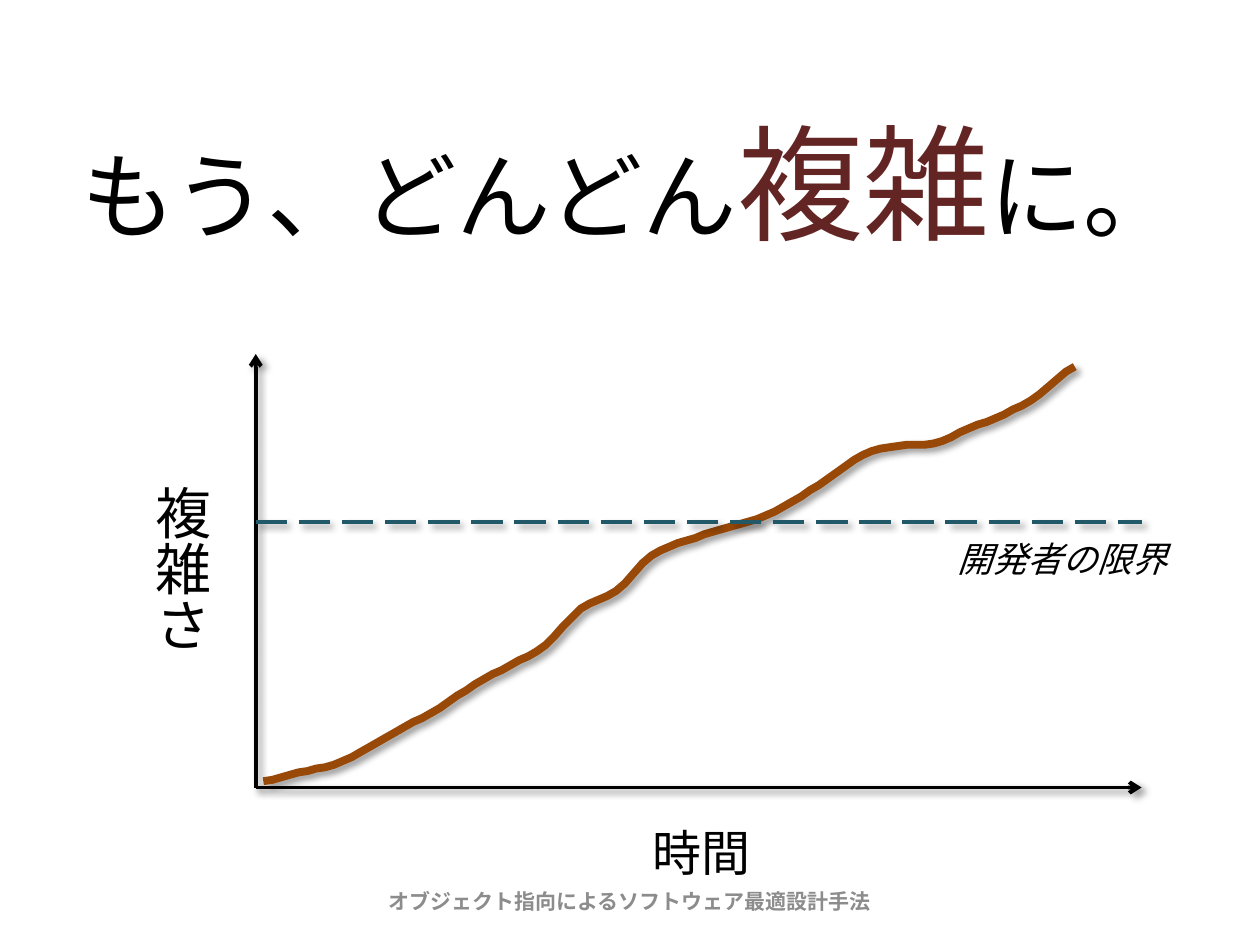
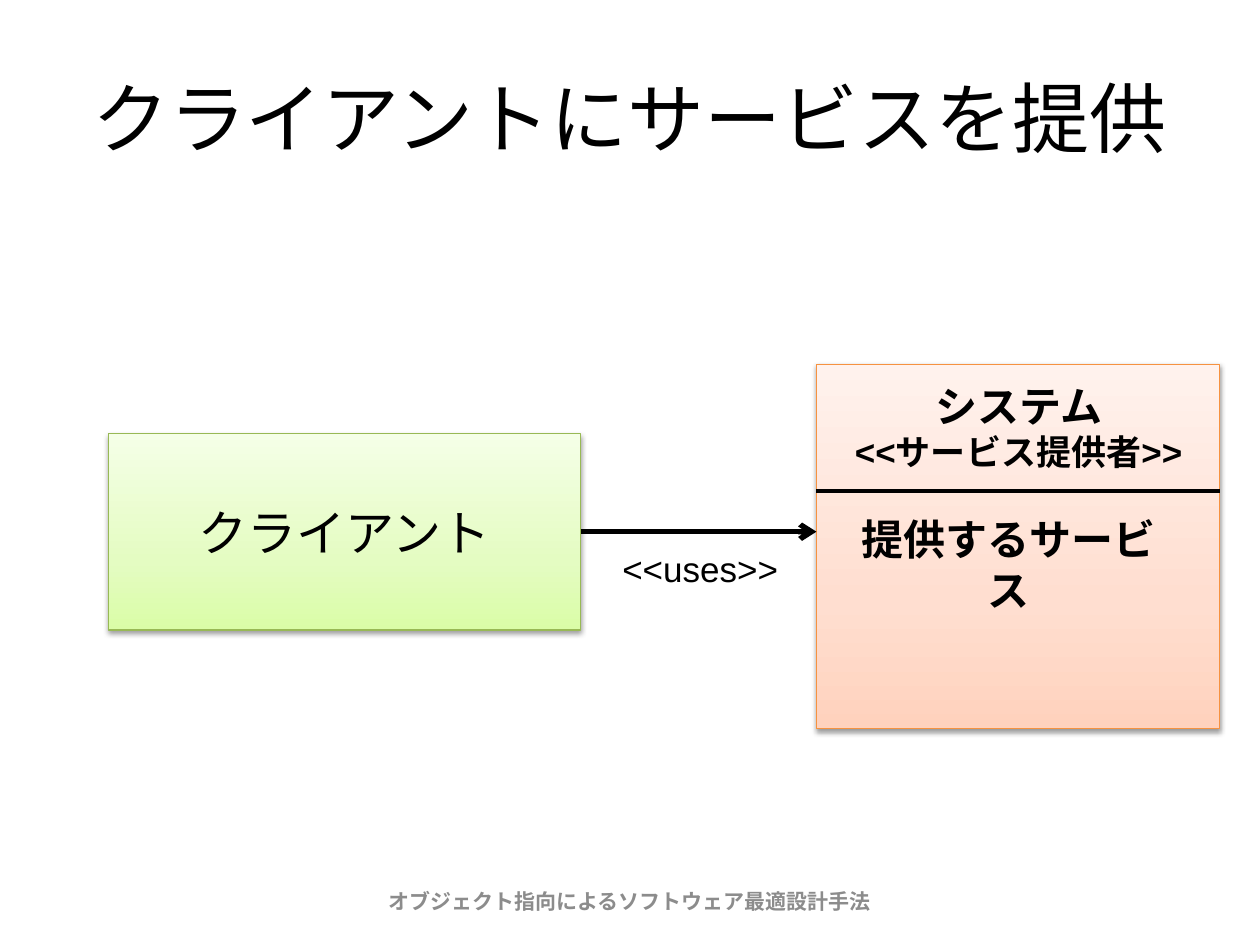
"""Builds two slides on growing complexity and on serving a client."""
from copy import deepcopy
from dataclasses import dataclass

from lxml import etree
from pptx import Presentation
from pptx import util as u
from pptx.dml.color import RGBColor
from pptx.enum import dml, lang, shapes, text
from pptx.oxml.ns import qn

PX = u.Inches(1) // 100
PAGE_WIDTH, PAGE_HEIGHT = 1000, 750
BLANK_LAYOUT = 6
RIGHT_SIDE = 3


@dataclass(frozen=True)
class Theme:
    """Colours, fonts, type sizes and shadows shared by the slides."""
    ink: str = "000000"
    emphasis: str = "632523"
    muted: str = "8C8C8C"
    curve: str = "984807"
    limit: str = "215968"
    client_line: str = "98B955"
    client_fill: tuple = ("DAFDA7", "E4FCC2", "F5FFE7")
    system_line: str = "F69240"
    system_fill: tuple = ("FFD2BD", "FFDED0", "FFF2ED")
    fill_stops: tuple = (0, 0.35, 1)
    heading: str = "Calibri"
    body: str = "Arial"
    huge: int = 72
    large: int = 54
    title: int = 44
    axis: int = 32
    label: int = 28
    name: int = 24
    note: int = 20
    footer: int = 12
    line_shadow: tuple = (40, 4, 3, 45)
    box_shadow: tuple = (38, 3.1, 1.6, 90)


THEME = Theme()
FOOTER = "オブジェクト指向によるソフトウェア最適設計手法"
HEIGHTS = (5, 12, 18, 32, 48, 63, 82, 97, 113, 142, 156, 184,
           196, 205, 213, 227, 245, 264, 271, 273, 285, 296, 312, 334)
HEIGHT_STEP = 28
SMOOTHING = 4


def px(*lengths):
    """Turn px lengths into EMU."""
    return [length * PX for length in lengths]


def set_all(target, values):
    """Set every named attribute of the target."""
    for name, value in values.items():
        setattr(target, name, value)


def span(words, size, color=THEME.ink, font=THEME.body, **style):
    """Describe a piece of text with one format."""
    return words, color, {"size": u.Pt(size), "name": font,
                          "language_id": lang.MSO_LANGUAGE_ID.JAPANESE, **style}


def write(frame, lines, **para_format):
    """Write lines of spans as one paragraph."""
    para = frame.paragraphs[0]
    set_all(para, para_format)
    for index, line in enumerate(lines):
        if index:
            para.add_line_break()
        for words, color, style in line:
            run = para.add_run()
            run.text = words
            set_all(run.font, style)
            run.font.color.rgb = RGBColor.from_string(color)


def add_text(page, place, *lines, align=text.PP_ALIGN.LEFT, **frame_format):
    """Add a text box holding the given lines."""
    box = page.shapes.add_textbox(*px(*place))
    set_all(box.text_frame, {"word_wrap": True, **frame_format})
    write(box.text_frame, lines, alignment=align)
    return box


def add_centred(page, place, *lines):
    """Add text centred in both directions."""
    return add_text(page, place, *lines, align=text.PP_ALIGN.CENTER,
                    vertical_anchor=text.MSO_ANCHOR.MIDDLE)


def add_label(page, place, *lines, **formats):
    """Add a text box that grows with its text."""
    return add_text(page, place, *lines,
                    auto_size=text.MSO_AUTO_SIZE.SHAPE_TO_FIT_TEXT, **formats)


def add_page(deck, title_height, *title_spans):
    """Add a blank slide with the shared title and footer."""
    page = deck.slides.add_slide(deck.slide_layouts[BLANK_LAYOUT])
    margin = 50
    add_centred(page, (margin, 30, PAGE_WIDTH - 2 * margin, title_height), title_spans)
    add_centred(page, (187, 695, 625, 40),
                [span(FOOTER, THEME.footer, THEME.muted, THEME.heading, bold=True)])
    return page


def style_line(shape, color, width, **line_format):
    """Colour and size the line of a shape."""
    set_all(shape.line, {"width": u.Pt(width), **line_format})
    shape.line.color.rgb = RGBColor.from_string(color)


def set_shadow(shape, shadow):
    """Give the shape an outer shadow, or none at all."""
    effects = etree.SubElement(shape._element.spPr, qn("a:effectLst"))
    if shadow:
        alpha, blur, distance, angle = shadow
        outer = etree.SubElement(
            effects, qn("a:outerShdw"), blurRad=str(u.Pt(blur)),
            dist=str(u.Pt(distance)), dir=str(angle * 60000), rotWithShape="0")
        color = etree.SubElement(outer, qn("a:srgbClr"), val=THEME.ink)
        etree.SubElement(color, qn("a:alpha"), val=str(alpha * 1000))


def add_line(page, start, end, color=THEME.ink, width=2.25, arrow=False,
             shadow=None, **line_format):
    """Add a straight line, with an arrowhead if wanted."""
    line = page.shapes.add_connector(shapes.MSO_CONNECTOR.STRAIGHT, *px(*start, *end))
    style_line(line, color, width, **line_format)
    if arrow:
        outline = line._element.spPr.find(qn("a:ln"))
        etree.SubElement(outline, qn("a:tailEnd"), type="arrow")
    set_shadow(line, shadow)
    return line


def smooth(values, parts):
    """Put Catmull-Rom steps between equally spaced values."""
    padded = (values[0], *values, values[-1])
    for before, start, end, after in zip(padded, padded[1:], padded[2:], padded[3:]):
        for part in range(parts):
            t = part / parts
            yield start + t / 2 * (
                end - before
                + t * (2 * before - 5 * start + 4 * end - after)
                + t * t * (3 * (start - end) + after - before))
    yield values[-1]


def add_curve(page, left, baseline):
    """Add the complexity curve, its heights measured up from the baseline."""
    step = HEIGHT_STEP // SMOOTHING
    points = [(left + index * step, baseline - height)
              for index, height in enumerate(smooth(HEIGHTS, SMOOTHING))]
    builder = page.shapes.build_freeform(*points[0], scale=PX)
    builder.add_line_segments(points[1:], close=False)
    curve = builder.convert_to_shape()
    curve.fill.background()
    style_line(curve, THEME.curve, 4.5)
    set_shadow(curve, THEME.line_shadow)


def add_box(page, place, colors, outline):
    """Add a rectangle with an upward gradient."""
    box = page.shapes.add_shape(shapes.MSO_SHAPE.RECTANGLE, *px(*place))
    box.fill.gradient()
    box.fill.gradient_angle = 90
    stop_list = next(box._element.iter(qn("a:gsLst")))
    stop_list.append(deepcopy(stop_list[0]))
    for stop, color, position in zip(box.fill.gradient_stops, colors, THEME.fill_stops):
        stop.color.rgb = RGBColor.from_string(color)
        stop.position = position
    style_line(box, outline, 0.75)
    set_shadow(box, THEME.box_shadow)
    return box


def build_complexity(deck):
    """Build the slide on complexity growing over time."""
    page = add_page(deck, 228,
                    span("もう、どんどん", THEME.large, font=THEME.heading),
                    span("複雑", THEME.huge, THEME.emphasis, THEME.heading),
                    span("に。", THEME.large, font=THEME.heading))
    left, right, top, baseline, limit = 203, 906, 281, 625, 414
    for tip in ((left, top), (right, baseline)):
        add_line(page, (left, baseline), tip, arrow=True, shadow=THEME.line_shadow)
    add_curve(page, left + 6, baseline)
    add_line(page, (left, limit), (right, limit), THEME.limit,
             shadow=THEME.line_shadow, dash_style=dml.MSO_LINE.LONG_DASH)

    complexity, time, developer_limit = [
        add_label(page, place, [words], word_wrap=False)
        for place, words in (
            ((102, 375, 74, 145), span("複雑さ", THEME.axis)),
            ((508, 648, 99, 57), span("時間", THEME.label)),
            ((750, limit + 8, 189, 44), span("開発者の限界", THEME.note, italic=True)),
        )]
    complexity.text_frame._txBody.bodyPr.set("vert", "eaVert")


def build_service(deck):
    """Build the slide on a system serving a client."""
    page = add_page(deck, 125,
                    span("クライアントにサービスを提供", THEME.title, font=THEME.heading))
    client_left, client_top, client_width, client_height = 86, 344, 375, 156
    client_right = client_left + client_width
    client_middle = client_top + client_height // 2
    system_left, system_top, system_size, header_height = 648, 289, 320, 101
    system_right = system_left + system_size
    divider = system_top + header_height

    add_box(page, (system_left, system_top, system_size, system_size - 31),
            THEME.system_fill, THEME.system_line)
    add_line(page, (system_left, divider), (system_right, divider))
    header = [[span("システム", THEME.name, bold=True)],
              [span("<<サービス提供者>>", THEME.note, bold=True)]]
    services = [[span("提供するサービス", THEME.name, bold=True)]]
    for place, lines in (
            ((system_left + 8, system_top + 8, 305, 84), header),
            ((system_left + 16, divider + 13, 273, 51), services)):
        add_label(page, place, *lines, align=text.PP_ALIGN.CENTER)

    client = add_box(page, (client_left, client_top, client_width, client_height),
                     THEME.client_fill, THEME.client_line)
    client.text_frame.vertical_anchor = text.MSO_ANCHOR.MIDDLE
    write(client.text_frame,
          [[span("クライアント", THEME.label, font=THEME.heading)]],
          alignment=text.PP_ALIGN.CENTER)

    uses = add_line(page, (client_right, client_middle), (system_left, client_middle),
                    width=3, arrow=True)
    uses.begin_connect(client, RIGHT_SIDE)
    add_label(page, (484, client_middle + 8, 148, 44), [span("<<uses>>", THEME.note)])


def main():
    """Build and save the deck."""
    deck = Presentation()
    set_all(deck, {"slide_width": PAGE_WIDTH * PX, "slide_height": PAGE_HEIGHT * PX})
    build_complexity(deck)
    build_service(deck)
    deck.save("out.pptx")


if __name__ == "__main__":
    main()
